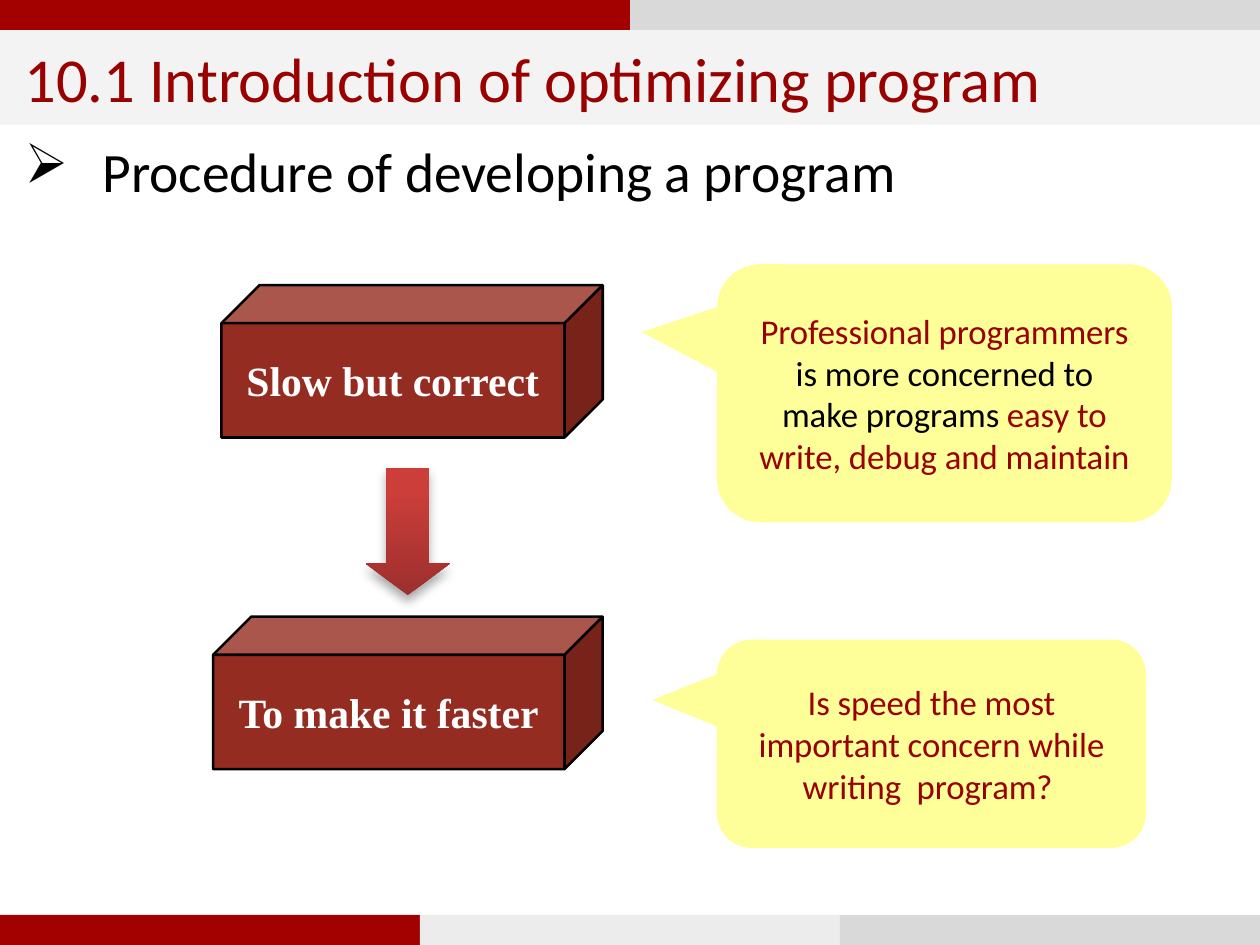
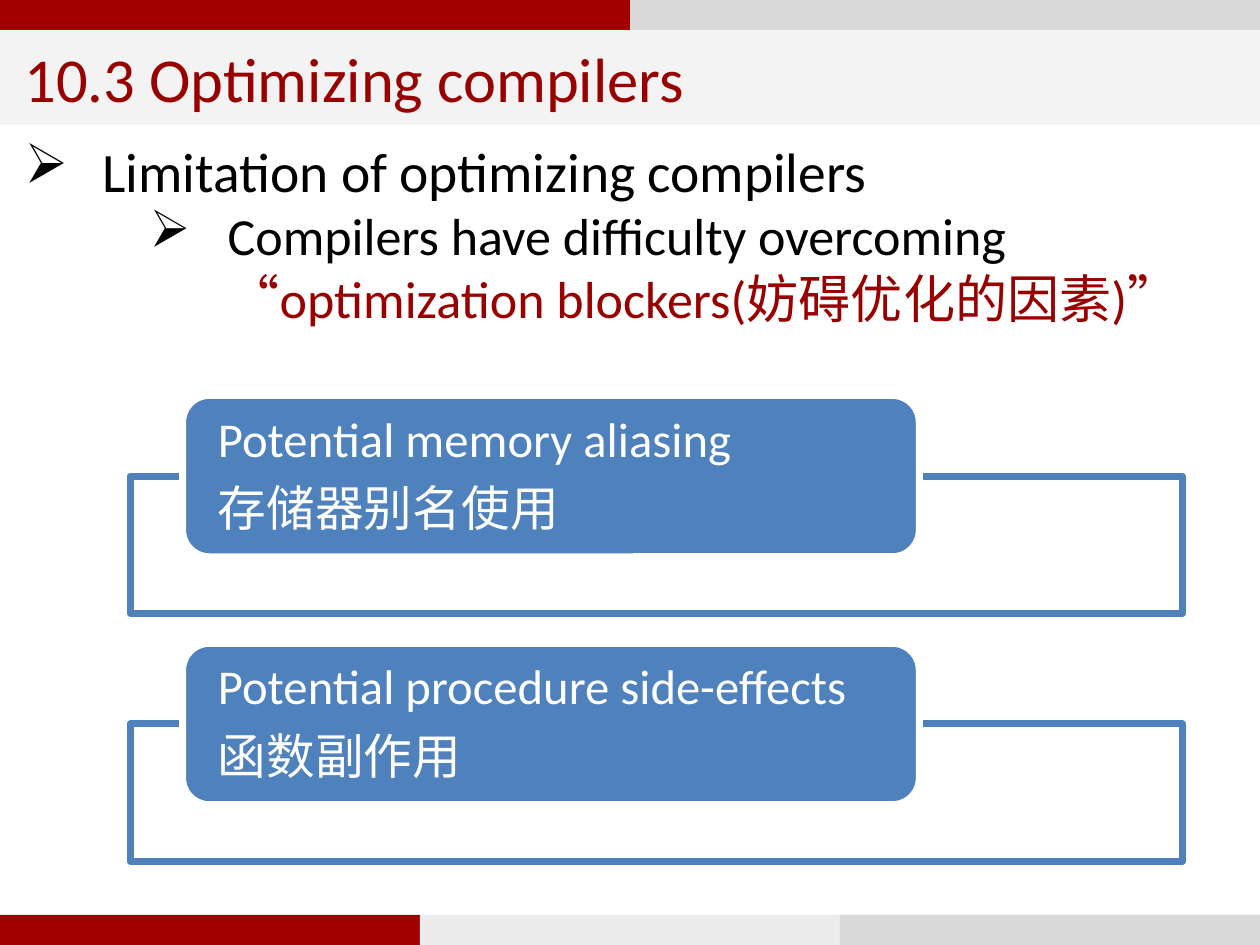
from lxml.etree import SubElement
from pptx import Presentation
from pptx.dml.color import RGBColor
from pptx.enum.shapes import MSO_SHAPE as Form
from pptx.enum.text import MSO_ANCHOR as Anchor, PP_ALIGN as Align
from pptx.oxml.ns import qn
from pptx.util import Pt

WIDTH, HEIGHT = 362.88, 272.16
BAND, TITLE_HEIGHT = 8.64, 27.36
BODY_TOP = BAND + TITLE_HEIGHT

BLACK = RGBColor(0x00, 0x00, 0x00)
WHITE = RGBColor(0xFF, 0xFF, 0xFF)
CRIMSON = RGBColor(0xA3, 0x00, 0x00)
DARK_RED = RGBColor(0x99, 0x00, 0x00)
BRICK = RGBColor(0x95, 0x2C, 0x21)
ARROW_DARK = RGBColor(0x9C, 0x2F, 0x2D)
ARROW_LIGHT = RGBColor(0xCB, 0x3E, 0x3A)
SILVER = RGBColor(0xD9, 0xD9, 0xD9)
MIST = RGBColor(0xEC, 0xEC, 0xEC)
TITLE_GREY = RGBColor(0xF3, 0xF3, 0xF3)
YELLOW = RGBColor(0xFF, 0xFF, 0x99)
BLUE = RGBColor(0x4F, 0x81, 0xBD)

TITLE_FONT = {"name": "Calibri", "size": Pt(18)}
BODY_FONTS = [{"name": "Calibri", "size": Pt(16)},
              {"name": "Calibri", "size": Pt(15)}]
CUBE_FONT = {"name": "Times New Roman", "size": Pt(12), "bold": True}
CALLOUT_FONT = {"name": "Calibri", "size": Pt(10)}
TAB_FONT = {"name": "Calibri", "size": Pt(14)}
FRAME = {"word_wrap": True, "vertical_anchor": Anchor.MIDDLE,
         "margin_left": Pt(7.2), "margin_right": Pt(7.2),
         "margin_top": Pt(3.6), "margin_bottom": Pt(3.6)}
TAB_FRAME = {"margin_left": Pt(7.9), "margin_right": Pt(7.9),
             "margin_top": 0, "margin_bottom": 0}


def assign(target, values):
    """Set each named attribute of the target."""
    for name, value in values.items():
        setattr(target, name, value)


class SlideBuilder:
    """Draws the elements of the deck on its current slide."""

    def __init__(self):
        """Start an empty deck."""
        self.deck = Presentation()
        assign(self.deck, {"slide_width": Pt(WIDTH), "slide_height": Pt(HEIGHT)})
        self.page = None

    def shape(self, form, place, fill, line=None, weight=0.75, adjust=()):
        """Add a flat preset shape at (left, top, width, height)."""
        box = self.page.shapes.add_shape(form, *map(Pt, place))
        box.shadow.inherit = False
        box.fill.solid()
        box.fill.fore_color.rgb = fill
        if line is None:
            box.line.fill.background()
        else:
            box.line.color.rgb = line
            box.line.width = Pt(weight)
        for index, value in enumerate(adjust):
            box.adjustments[index] = value
        return box

    def frame(self, box, **changes):
        """Format the text frame of a box and return it."""
        assign(box.text_frame, {**FRAME, **changes})
        return box.text_frame

    def paragraph(self, frame, spans, font, first=True, **layout):
        """Add one paragraph of (text, colour) spans."""
        para = frame.paragraphs[0] if first else frame.add_paragraph()
        assign(para, {"alignment": Align.LEFT, **layout})
        for text, colour in spans:
            span = para.add_run()
            span.text = text
            assign(span.font, font)
            span.font.color.rgb = colour
        return para

    def bands(self, top, colours):
        """Divide the slide width equally into coloured bands."""
        width = WIDTH / len(colours)
        for index, colour in enumerate(colours):
            self.shape(Form.RECTANGLE, (index * width, top, width, BAND), colour)

    def new_page(self, title, bullets):
        """Add a slide with bands, title and (level, spans) bullets."""
        self.page = self.deck.slides.add_slide(self.deck.slide_layouts[6])
        self.body(bullets)
        self.bands(0, [CRIMSON, SILVER])
        box = self.shape(Form.RECTANGLE, (0, BAND, WIDTH, TITLE_HEIGHT), TITLE_GREY)
        self.paragraph(self.frame(box), [(title, DARK_RED)], TITLE_FONT)
        self.bands(HEIGHT - BAND, [CRIMSON, MIST, SILVER])

    def body(self, bullets):
        """Add the body area with its arrow bullets."""
        place = (0, BODY_TOP, WIDTH, HEIGHT - BODY_TOP - BAND)
        frame = self.frame(self.shape(Form.RECTANGLE, place, WHITE),
                           vertical_anchor=Anchor.TOP)
        for index, (level, spans) in enumerate(bullets):
            para = self.paragraph(frame, spans, BODY_FONTS[level], index == 0,
                                  level=level)
            props = para._p.get_or_add_pPr()
            props.set("marL", str(Pt(22.5 + 36 * level)))
            props.set("indent", str(-Pt(22.5)))
            SubElement(props, qn("a:buChar")).set("char", "➢")

    def cube(self, place, text):
        """Add a labelled brick-red cube."""
        box = self.shape(Form.CUBE, place, BRICK, BLACK, adjust=[0.25])
        self.paragraph(self.frame(box, word_wrap=False), [(text, WHITE)], CUBE_FONT,
                       alignment=Align.CENTER)

    def down_arrow(self, place):
        """Add a shaded block arrow with a soft shadow below it."""
        box = self.shape(Form.DOWN_ARROW, place, ARROW_DARK, adjust=[0.5, 0.375])
        box.fill.gradient()
        box.fill.gradient_angle = 90
        stops = zip(box.fill.gradient_stops, [(0, ARROW_DARK), (0.8, ARROW_LIGHT)])
        for stop, (position, colour) in stops:
            stop.position = position
            stop.color.rgb = colour
        effects = box._element.spPr.find(qn("a:effectLst"))
        shadow = SubElement(effects, qn("a:outerShdw"), blurRad=str(Pt(3.1)),
                            dist=str(Pt(1.8)), dir="5400000", rotWithShape="0")
        colour = SubElement(shadow, qn("a:srgbClr"), val=str(BLACK))
        SubElement(colour, qn("a:alpha"), val="35000")

    def callout(self, place, tip, spans):
        """Add a yellow speech bubble whose tip is relative to its centre."""
        box = self.shape(Form.ROUNDED_RECTANGULAR_CALLOUT, place, YELLOW,
                         adjust=[*tip, 0.167])
        self.paragraph(self.frame(box), spans, CALLOUT_FONT, alignment=Align.CENTER)

    def tabbed_frame(self, top, lines):
        """Add an outlined frame with a blue tab over its upper edge."""
        self.shape(Form.RECTANGLE, (37.44, top + 23.2, 303.12, 39.6), WHITE, BLUE, 2)
        tab = self.shape(Form.ROUNDED_RECTANGLE, (52.6, top, 212.2, 46.5),
                         BLUE, WHITE, 2)
        frame = self.frame(tab, **TAB_FRAME)
        for index, text in enumerate(lines):
            self.paragraph(frame, [(text, WHITE)], TAB_FONT, index == 0,
                           line_spacing=0.9, space_after=Pt(4.9))


def procedure_slide(builder):
    """Draw the two steps of developing a program."""
    builder.new_page("10.1 Introduction of optimizing program",
                     [(0, [("Procedure of developing a program", BLACK)])])
    builder.cube((63.8, 82.1, 109.8, 43.9), "Slow but correct")
    builder.down_arrow((105.3, 134.7, 24.3, 36.7))
    builder.cube((61.4, 177.6, 112.2, 43.9), "To make it faster")
    builder.callout((206.5, 184.2, 123.6, 60), (-0.651, -0.21), [
        ("Is speed the most important concern while writing  program? ", DARK_RED)])
    builder.callout((206.5, 76.1, 131, 74.3), (-0.666, -0.237), [
        ("Professional programmers ", DARK_RED),
        ("is more concerned to make programs", BLACK),
        (" easy to write, debug and maintain", DARK_RED)])


def compilers_slide(builder):
    """Draw the two optimization blockers."""
    builder.new_page("10.3 Optimizing compilers", [
        (0, [("Limitation of optimizing compilers", BLACK)]),
        (1, [("Compilers have difficulty overcoming ", BLACK),
             ("“optimization blockers(妨碍优化的因素)”", DARK_RED)])])
    blockers = [("Potential memory aliasing", "存储器别名使用"),
                ("Potential procedure side-effects", "函数副作用")]
    for index, lines in enumerate(blockers):
        builder.tabbed_frame(113.9 + 71.4 * index, lines)


builder = SlideBuilder()
procedure_slide(builder)
compilers_slide(builder)
builder.deck.save("out.pptx")
